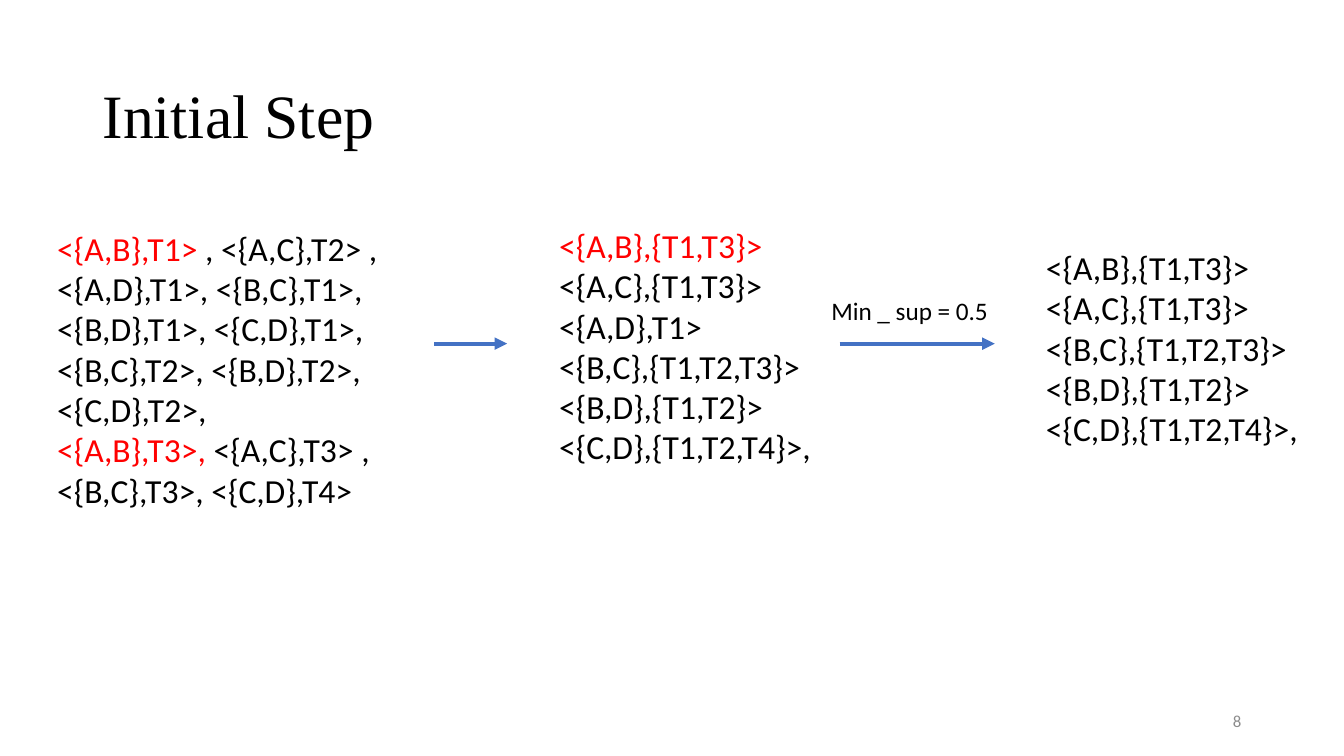
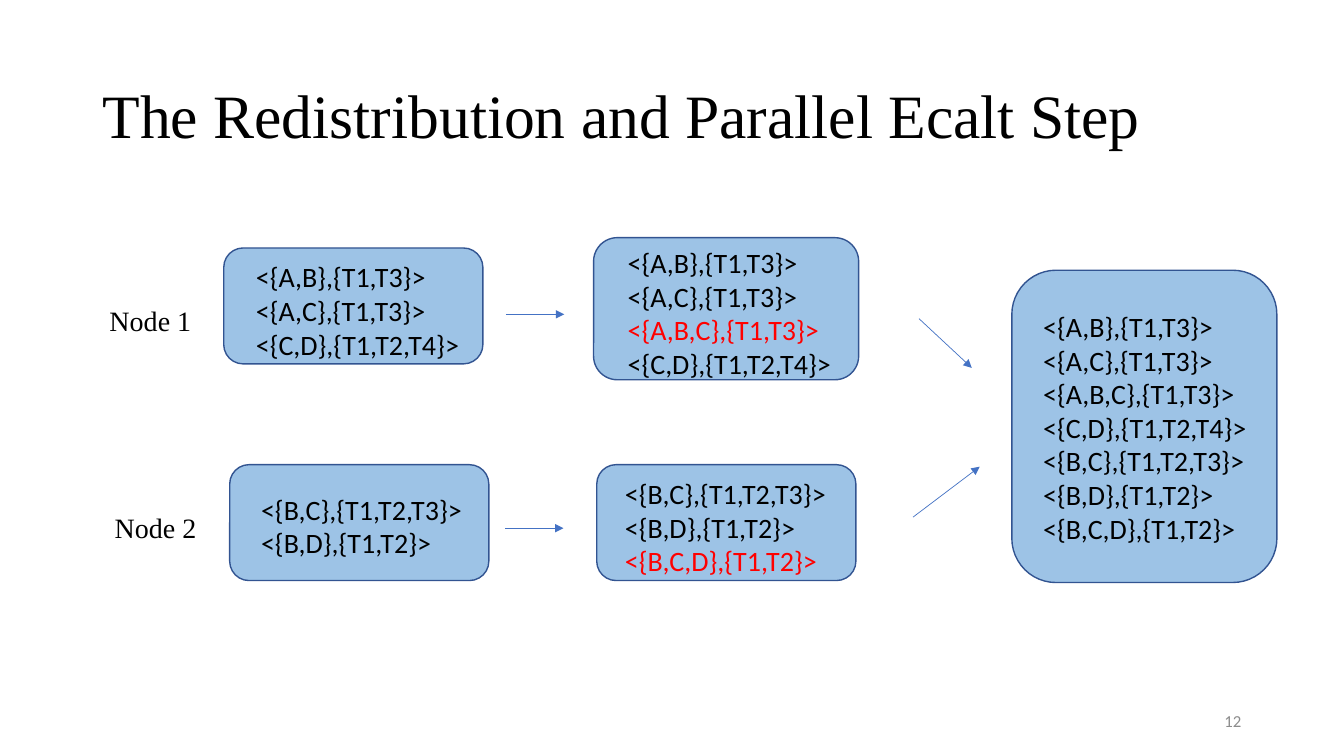
from copy import deepcopy

from lxml import etree
from pptx import Presentation
from pptx.dml.color import RGBColor
from pptx.enum.shapes import MSO_CONNECTOR, MSO_SHAPE, PP_PLACEHOLDER
from pptx.enum.text import MSO_ANCHOR, MSO_AUTO_SIZE, PP_ALIGN
from pptx.oxml.ns import qn
from pptx.util import Cm, Pt

LEFT, RIGHT = PP_ALIGN.LEFT, PP_ALIGN.RIGHT
TOP, MIDDLE = MSO_ANCHOR.TOP, MSO_ANCHOR.MIDDLE
NO_FIT = MSO_AUTO_SIZE.NONE
ROUND = MSO_SHAPE.ROUNDED_RECTANGLE
STRAIGHT = MSO_CONNECTOR.STRAIGHT
NUMBER = PP_PLACEHOLDER.SLIDE_NUMBER

BLACK, RED, GREY = "000000", "FF0000", "8C8C8C"
BLUE, SKY, NAVY = "4472C4", "9DC3E6", "325491"
SANS, SERIF = "Calibri", "Times New Roman"
CORNER = 0.16667 * 0.29289  # text inset of a rounded corner, per short side

HEAD = {"name": SERIF, "size": Pt(44)}
FOOT = {"name": SANS, "size": Pt(12)}
LARGE = {"name": SANS, "size": Pt(24)}
SMALL = {"name": SANS, "size": Pt(20)}
NOTE = {"name": SANS, "size": Pt(18)}
NODE = {"name": SERIF, "size": Pt(20)}


def write(frame, lines, form, ink=BLACK, align=LEFT, anchor=TOP):
    """Fill a frame with lines; the part of a line before a bar is red."""
    frame.word_wrap = True
    frame.auto_size = NO_FIT
    frame.vertical_anchor = anchor
    frame.text = ""
    for i, line in enumerate(lines):
        par = frame.paragraphs[0] if i == 0 else frame.add_paragraph()
        par.alignment = align
        hot, _, rest = line.rpartition("|")
        for text, tint in ((hot, RED), (rest, ink)):
            if text:
                run = par.add_run()
                run.text = text
                for key, value in form.items():
                    setattr(run.font, key, value)
                run.font.color.rgb = RGBColor.from_string(tint)


deck = Presentation()
deck.slide_width, deck.slide_height = Cm(33.87), Cm(19.05)
layout = deck.slide_layouts[5]
number = next(p for p in layout.placeholders
              if p.placeholder_format.type == NUMBER)

# Titles and page numbers
pages = []
for title, page in (("Initial Step", "8"),
                    ("The Redistribution and Parallel Ecalt Step", "12")):
    slide = deck.slides.add_slide(layout)
    slide.shapes._spTree.append(deepcopy(number._element))
    foot = slide.shapes[-1]
    head = slide.shapes.title
    for shape, place in ((head, (2.33, 1.75, 29.2, 2.45)),
                         (foot, (23.92, 17.65, 7.62, 1.01))):
        shape.left, shape.top, shape.width, shape.height = map(Cm, place)
    write(head.text_frame, [title], HEAD, anchor=MIDDLE)
    head.text_frame.paragraphs[0].line_spacing = 0.9
    write(foot.text_frame, [page], FOOT, GREY, RIGHT, MIDDLE)
    pages.append(slide)
first, merge = pages

# Plain text: slide, place, format, lines
pairs = [
    "<{A,B},T1> |, <{A,C},T2> , <{A,D},T1>, <{B,C},T1>, <{B,D},T1>, <{C,D},T1>,",
    "<{B,C},T2>, <{B,D},T2>, <{C,D},T2>,",
    "<{A,B},T3>, |<{A,C},T3> , <{B,C},T3>, <{C,D},T4>",
]
groups = ["<{A,B},{T1,T3}>|", "<{A,C},{T1,T3}>", "<{A,D},T1>",
          "<{B,C},{T1,T2,T3}>", "<{B,D},{T1,T2}>", "<{C,D},{T1,T2,T4}>,"]
kept = ["<{A,B},{T1,T3}>", "<{A,C},{T1,T3}>", "<{B,C},{T1,T2,T3}>",
        "<{B,D},{T1,T2}>", "<{C,D},{T1,T2,T4}>,"]
for slide, place, form, lines in (
    (first, (1.19, 5.61, 9.75, 8.2), LARGE, pairs),
    (first, (13.84, 5.54, 7.3, 6.4), LARGE, groups),
    (first, (26.11, 6.1, 7.24, 5.38), LARGE, kept),
    (first, (20.7, 7.32, 4.95, 1.02), NOTE, ["Min _ sup = 0.5"]),
    (merge, (2.51, 7.52, 3.05, 1.12), NODE, ["Node 1"]),
    (merge, (2.64, 12.73, 3.05, 1.12), NODE, ["Node 2"]),
):
    box = slide.shapes.add_textbox(*map(Cm, place))
    write(box.text_frame, lines, form)

# Node boxes: place, offset of the text from the corner, lines
for place, (dx, dy), lines in (
    ((5.64, 6.25, 6.53, 2.92), (0.81, 0.3),
     ["<{A,B},{T1,T3}>", "<{A,C},{T1,T3}>", "<{C,D},{T1,T2,T4}>"]),
    ((5.79, 11.71, 6.53, 2.92), (0.79, 0.69),
     ["<{B,C},{T1,T2,T3}>", "<{B,D},{T1,T2}>"]),
    ((14.96, 5.99, 6.68, 3.58), (0.86, 0.2),
     ["<{A,B},{T1,T3}>", "<{A,C},{T1,T3}>", "<{A,B,C},{T1,T3}>|",
      "<{C,D},{T1,T2,T4}>"]),
    ((15.04, 11.71, 6.53, 2.92), (0.71, 0.3),
     ["<{B,C},{T1,T2,T3}>", "<{B,D},{T1,T2}>", "<{B,C,D},{T1,T2}>|"]),
    ((25.5, 6.81, 6.68, 7.87), (0.79, 0.99),
     ["<{A,B},{T1,T3}>", "<{A,C},{T1,T3}>", "<{A,B,C},{T1,T3}>",
      "<{C,D},{T1,T2,T4}>", "<{B,C},{T1,T2,T3}>", "<{B,D},{T1,T2}>",
      "<{B,C,D},{T1,T2}>"]),
):
    box = merge.shapes.add_shape(ROUND, *map(Cm, place))
    box.shadow.inherit = False
    box.fill.solid()
    box.fill.fore_color.rgb = RGBColor.from_string(SKY)
    box.line.color.rgb = RGBColor.from_string(NAVY)
    box.line.width = Pt(1)
    inset = CORNER * min(place[2:])
    frame = box.text_frame
    frame.margin_left, frame.margin_top = Cm(dx - inset), Cm(dy - inset)
    frame.margin_right = frame.margin_bottom = 0
    write(frame, lines, SMALL)

# Arrows: slide, width, ends
for slide, width, ends in (
    (first, 3, (10.95, 8.66, 12.78, 8.66)),
    (first, 3, (21.16, 8.66, 25.07, 8.66)),
    (merge, 0.5, (12.75, 7.92, 14.22, 7.92)),
    (merge, 0.5, (12.73, 13.31, 14.2, 13.31)),
    (merge, 0.5, (23.16, 8.03, 24.49, 9.27)),
    (merge, 0.5, (23.01, 13.03, 24.69, 11.76)),
):
    arrow = slide.shapes.add_connector(STRAIGHT, *map(Cm, ends))
    arrow.line.color.rgb = RGBColor.from_string(BLUE)
    arrow.line.width = Pt(width)
    props = arrow._element.spPr
    etree.SubElement(props.find(qn("a:ln")), qn("a:tailEnd"), type="triangle")
    etree.SubElement(props, qn("a:effectLst"))

deck.save("out.pptx")
